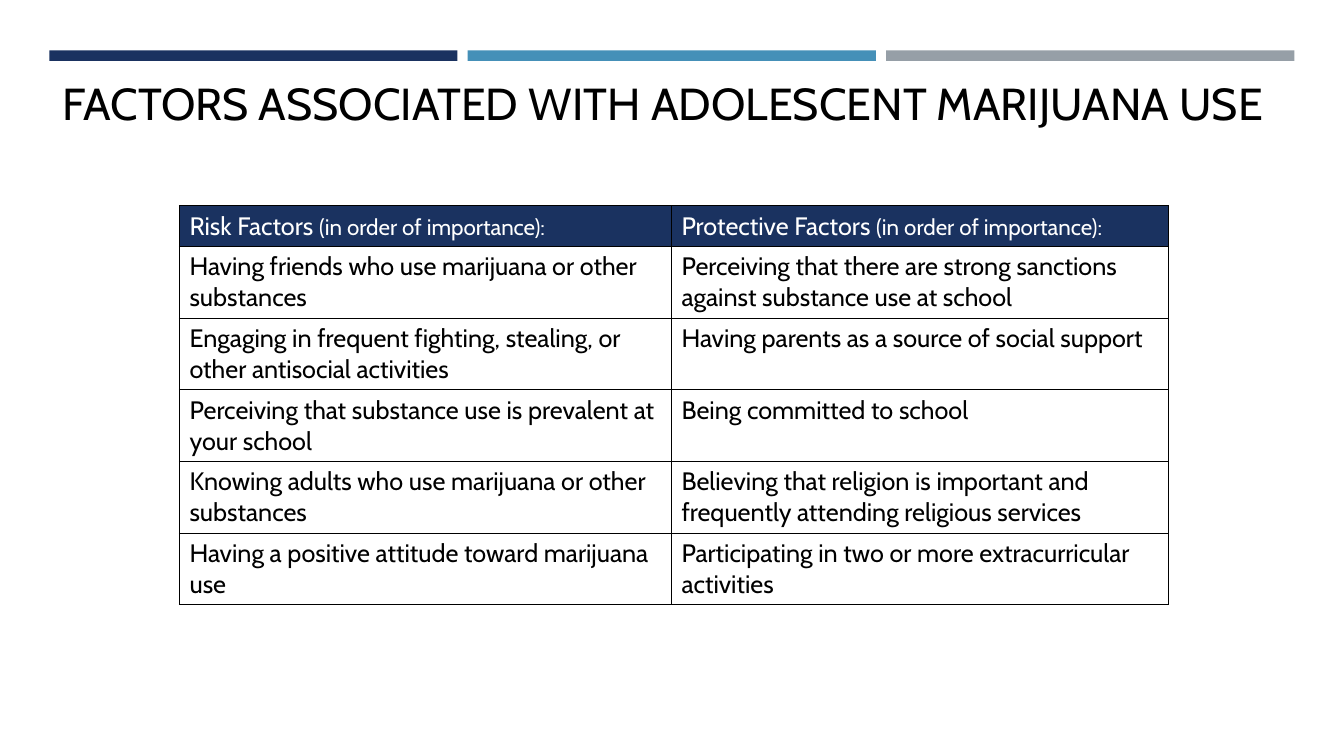
from pptx import Presentation
from pptx.dml.color import RGBColor
from pptx.enum.shapes import MSO_SHAPE
from pptx.enum.text import MSO_ANCHOR, PP_ALIGN
from pptx.oxml import parse_xml
from pptx.oxml.ns import nsdecls
from pptx.util import Pt

# Content
TITLE = "FACTORS ASSOCIATED WITH ADOLESCENT MARIJUANA USE"
HEADERS = ["Risk Factors ", "Protective Factors "]
HEADER_NOTE = "(in order of importance):"
FACTORS = [
    ("Having friends who use marijuana or other substances",
     "Perceiving that there are strong sanctions against substance use at school"),
    ("Engaging in frequent fighting, stealing, or other antisocial activities",
     "Having parents as a source of social support"),
    ("Perceiving that substance use is prevalent at your school",
     "Being committed to school"),
    ("Knowing adults who use marijuana or other substances",
     "Believing that religion is important and frequently attending religious services"),
    ("Having a positive attitude toward marijuana use",
     "Participating in two or more extracurricular activities"),
]

# Style and layout, in points
FONT = "Cabin"
NAVY, BLUE, GRAY = "1A3260", "4590B8", "969FA7"
BLACK, WHITE = "000000", "FFFFFF"
BAR_LEFT, BAR_TOP, BAR_WIDTH, BAR_HEIGHT, BAR_STEP = 35.2, 36, 291.6, 7.5, 298.9
TABLE_LEFT, TABLE_TOP = 128.2, 146.9
COL_WIDTHS = [351.4, 355]
HEADER_HEIGHT, ROW_HEIGHT = 29.2, 51.2


def color(value):
    return RGBColor.from_string(value)


def add_text(p, text, size=18, fill=BLACK):
    r = p.add_run()
    r.text = text
    r.font.name = FONT
    r.font.size = Pt(size)
    r.font.color.rgb = color(fill)


def add_borders(cell):
    for side in ("lnL", "lnR", "lnT", "lnB"):
        cell._tc.get_or_add_tcPr().append(parse_xml(
            f'<a:{side} {nsdecls("a")} w="{Pt(1)}"><a:solidFill>'
            f'<a:srgbClr val="{BLACK}"/></a:solidFill></a:{side}>'))


prs = Presentation()
prs.slide_width, prs.slide_height = Pt(960), Pt(540)
s = prs.slides.add_slide(prs.slide_layouts[5])

# Bars across the top
for i, fill in enumerate([NAVY, BLUE, GRAY]):
    sp = s.shapes.add_shape(MSO_SHAPE.RECTANGLE, Pt(BAR_LEFT + i * BAR_STEP),
                            Pt(BAR_TOP), Pt(BAR_WIDTH), Pt(BAR_HEIGHT))
    sp.shadow.inherit = False
    sp.fill.solid()
    sp.fill.fore_color.rgb = color(fill)
    sp.line.fill.background()

# Title
title = s.shapes.title
title.left, title.top, title.width, title.height = Pt(37.4), Pt(46.8), Pt(885), Pt(53.3)
tf = title.text_frame
tf.vertical_anchor = MSO_ANCHOR.MIDDLE
tf.paragraphs[0].alignment = PP_ALIGN.LEFT
add_text(tf.paragraphs[0], TITLE, size=32)

# Table of factors
row_heights = [HEADER_HEIGHT] + [ROW_HEIGHT] * len(FACTORS)
table = s.shapes.add_table(len(row_heights), len(COL_WIDTHS), Pt(TABLE_LEFT), Pt(TABLE_TOP),
                           Pt(sum(COL_WIDTHS)), Pt(sum(row_heights))).table
table.first_row = table.horz_banding = False
for column, width in zip(table.columns, COL_WIDTHS):
    column.width = Pt(width)
for row, height in zip(table.rows, row_heights):
    row.height = Pt(height)

for i, texts in enumerate([HEADERS, *FACTORS]):
    for j, text in enumerate(texts):
        cell = table.cell(i, j)
        p = cell.text_frame.paragraphs[0]
        add_borders(cell)
        if i == 0:
            cell.fill.solid()
            cell.fill.fore_color.rgb = color(NAVY)
            add_text(p, text, fill=WHITE)
            add_text(p, HEADER_NOTE, size=16, fill=WHITE)
        else:
            cell.fill.background()
            add_text(p, text)

prs.save("out.pptx")
